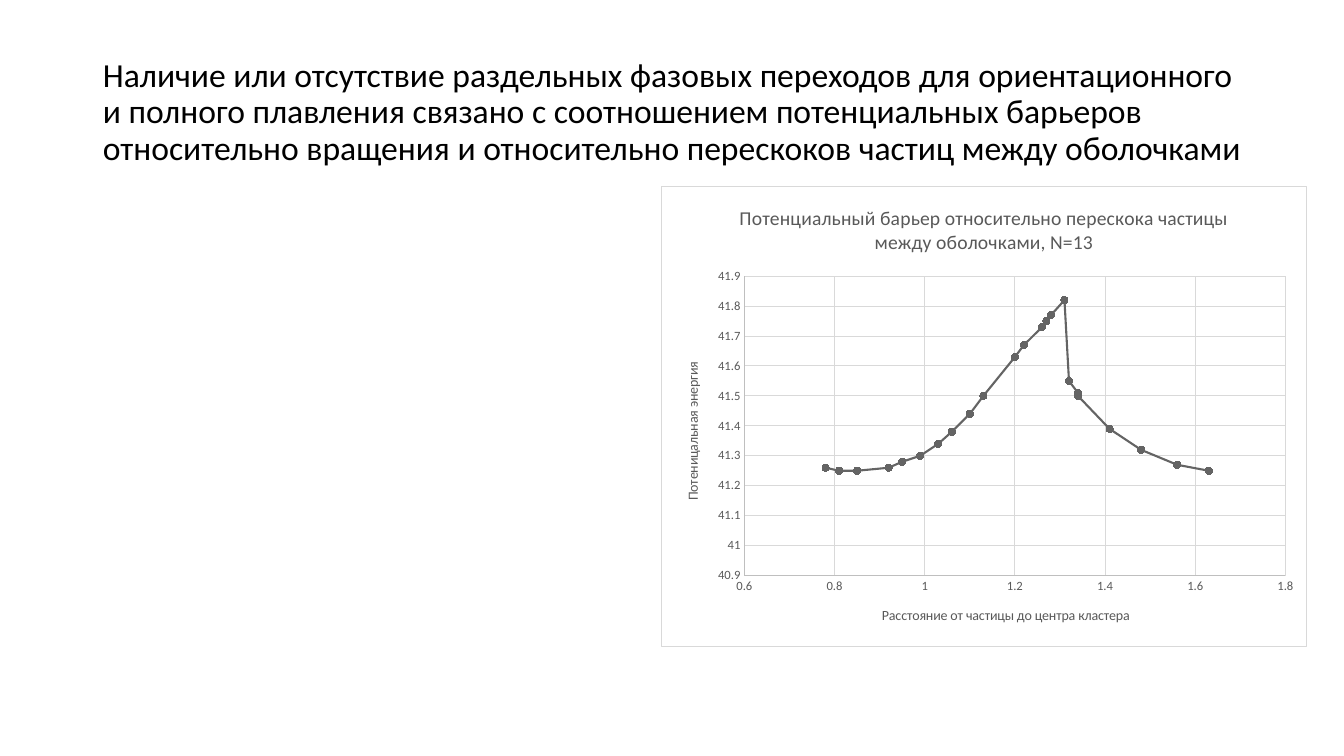
from lxml import etree
from pptx import Presentation
from pptx.chart.data import XyChartData
from pptx.dml.color import RGBColor
from pptx.enum.chart import XL_AXIS_CROSSES, XL_CHART_TYPE, XL_MARKER_STYLE, XL_TICK_MARK
from pptx.enum.text import MSO_ANCHOR
from pptx.oxml import parse_xml
from pptx.oxml.ns import nsdecls
from pptx.util import Emu, Pt

SCATTER = XL_CHART_TYPE.XY_SCATTER_LINES
CIRCLE = XL_MARKER_STYLE.CIRCLE
NO_TICK = XL_TICK_MARK.NONE
AT_MINIMUM = XL_AXIS_CROSSES.MINIMUM
MIDDLE = MSO_ANCHOR.MIDDLE

FONT = "Calibri"
BLACK = RGBColor(0x00, 0x00, 0x00)
TEXT_GRAY = RGBColor(0x59, 0x59, 0x59)
SERIES_GRAY = RGBColor(0x64, 0x64, 0x64)
AXIS_GRAY = RGBColor(0xBF, 0xBF, 0xBF)
GRID_GRAY = RGBColor(0xD9, 0xD9, 0xD9)
WHITE = RGBColor(0xFF, 0xFF, 0xFF)

# Content
TITLE = ("Наличие или отсутствие раздельных фазовых переходов для ориентационного "
         "и полного плавления связано с соотношением потенциальных барьеров "
         "относительно вращения и относительно перескоков частиц между оболочками")
CHART_TITLE = "Потенциальный барьер относительно перескока частицы между оболочками, N=13"
X_TITLE = "Расстояние от частицы до центра кластера"
Y_TITLE = "Потеницальная энергия"
POINTS = [
    (0.78, 41.26), (0.81, 41.25), (0.85, 41.25), (0.92, 41.26), (0.95, 41.28),
    (0.99, 41.30), (1.03, 41.34), (1.06, 41.38), (1.10, 41.44), (1.13, 41.50),
    (1.20, 41.63), (1.22, 41.67), (1.26, 41.73), (1.27, 41.75), (1.28, 41.77),
    (1.31, 41.82), (1.31, 41.82), (1.32, 41.55), (1.34, 41.51), (1.34, 41.51),
    (1.34, 41.50), (1.41, 41.39), (1.48, 41.32), (1.56, 41.27), (1.63, 41.25),
]

# Places in pixels: left, top, width, height
SLIDE_SIZE = (1344, 756)
TITLE_BOX = (93, 40, 1159, 146)
CHART_BOX = (661, 186, 646, 461)
PLOT_BOX = (744, 276, 542, 300)


def px(n):
    return Emu(round(n * 914400 / 100.8))


def set_font(font, size, color):
    font.name, font.size, font.bold = FONT, Pt(size), False
    font.color.rgb = color


def set_line(line, color, width):
    line.color.rgb = color
    line.width = Pt(width)


def set_title(owner, text, size):
    tf = owner.text_frame
    tf.text = text
    set_font(tf.paragraphs[0].runs[0].font, size, TEXT_GRAY)


def style_axis(axis, title, low, high, step):
    axis.minimum_scale, axis.maximum_scale, axis.major_unit = low, high, step
    axis.major_tick_mark = axis.minor_tick_mark = NO_TICK
    axis.crosses = AT_MINIMUM
    axis.has_major_gridlines = True
    set_line(axis.major_gridlines.format.line, GRID_GRAY, 0.75)
    set_line(axis.format.line, AXIS_GRAY, 0.75)
    set_font(axis.tick_labels.font, 9, TEXT_GRAY)
    axis.tick_labels.number_format = "General"
    axis.tick_labels.number_format_is_linked = False
    set_title(axis.axis_title, title, 10)


prs = Presentation()
prs.slide_width, prs.slide_height = map(px, SLIDE_SIZE)
slide = prs.slides.add_slide(prs.slide_layouts[6])

# Slide title
tf = slide.shapes.add_textbox(*map(px, TITLE_BOX)).text_frame
tf.word_wrap = True
tf.vertical_anchor = MIDDLE
tf.text = TITLE
p = tf.paragraphs[0]
p.line_spacing = 0.9
set_font(p.runs[0].font, 24, BLACK)

# Chart
data = XyChartData(number_format="General")
energy = data.add_series("Series 1")
for distance, value in POINTS:
    energy.add_data_point(distance, value)
chart = slide.shapes.add_chart(SCATTER, *map(px, CHART_BOX), data).chart
set_font(chart.font, 10, BLACK)
chart.has_legend = False
chart.has_title = True
set_title(chart.chart_title, CHART_TITLE, 14)
style_axis(chart.category_axis, X_TITLE, 0.6, 1.8, 0.2)
style_axis(chart.value_axis, Y_TITLE, 40.9, 41.9, 0.1)

# Series line and markers
series = chart.plots[0].series[0]
series.smooth = False
set_line(series.format.line, SERIES_GRAY, 1.5)
marker = series.marker
marker.style, marker.size = CIRCLE, 5
marker.format.fill.solid()
marker.format.fill.fore_color.rgb = SERIES_GRAY
set_line(marker.format.line, SERIES_GRAY, 0.75)

# Plot area place, as fractions of the chart
left, top, width, height = CHART_BOX
fractions = {"x": (PLOT_BOX[0] - left) / width, "y": (PLOT_BOX[1] - top) / height,
             "w": PLOT_BOX[2] / width, "h": PLOT_BOX[3] / height}
plot_area = chart.plots[0]._element.getparent()
for old in plot_area.findall("{*}layout"):
    plot_area.remove(old)
layout = parse_xml(
    f'<c:layout {nsdecls("c")}><c:manualLayout><c:layoutTarget val="inner"/>'
    '<c:xMode val="edge"/><c:yMode val="edge"/>'
    + "".join(f'<c:{k} val="{v:.4f}"/>' for k, v in fractions.items())
    + "</c:manualLayout></c:layout>")
plot_area.insert(0, layout)

# Chart background and border
frame = parse_xml(
    f'<c:spPr {nsdecls("c", "a")}><a:solidFill><a:srgbClr val="{WHITE}"/></a:solidFill>'
    f'<a:ln w="{Pt(0.75)}"><a:solidFill><a:srgbClr val="{GRID_GRAY}"/></a:solidFill></a:ln>'
    '</c:spPr>')
etree.ElementBase.addnext(plot_area.getparent(), frame)

prs.save("out.pptx")
